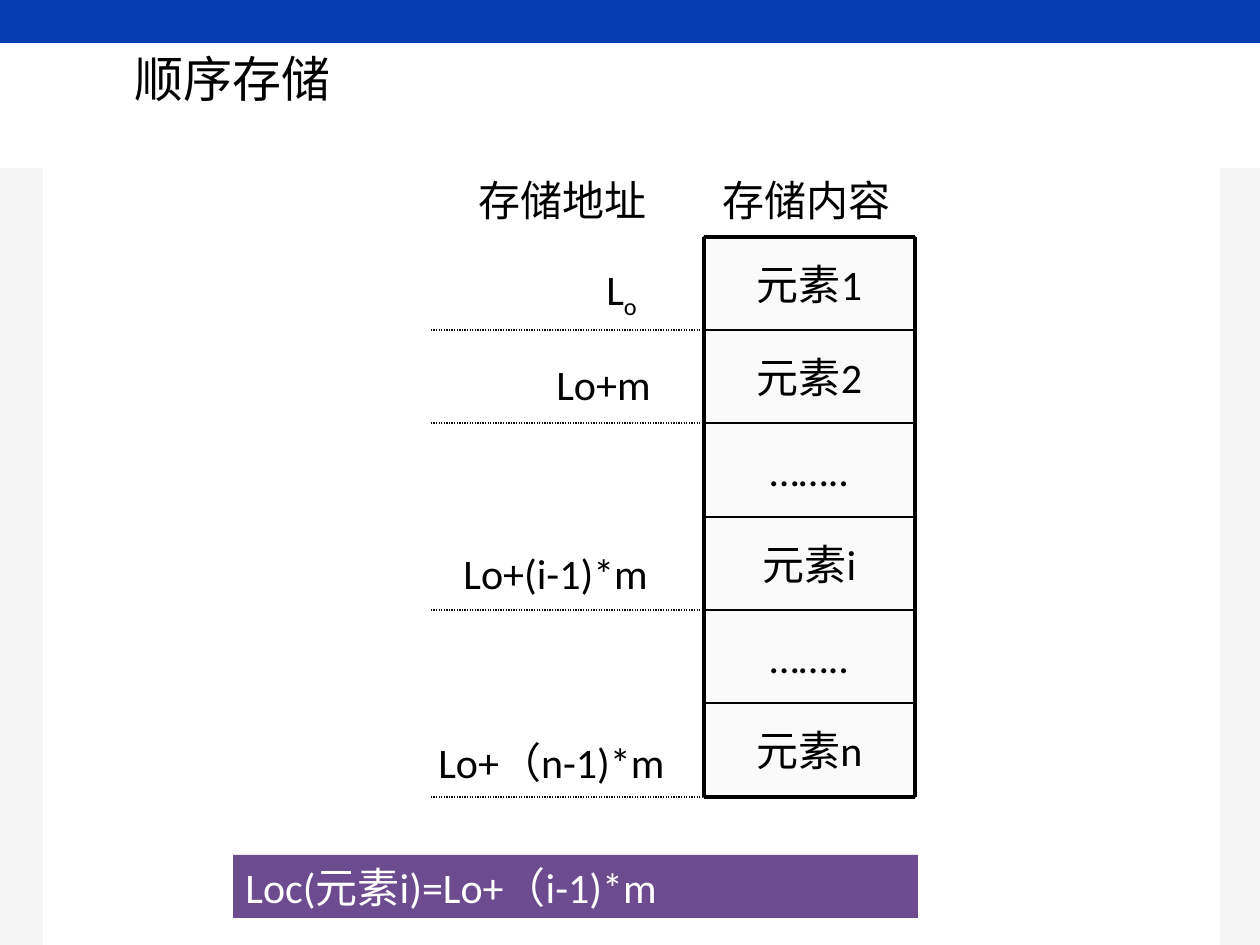
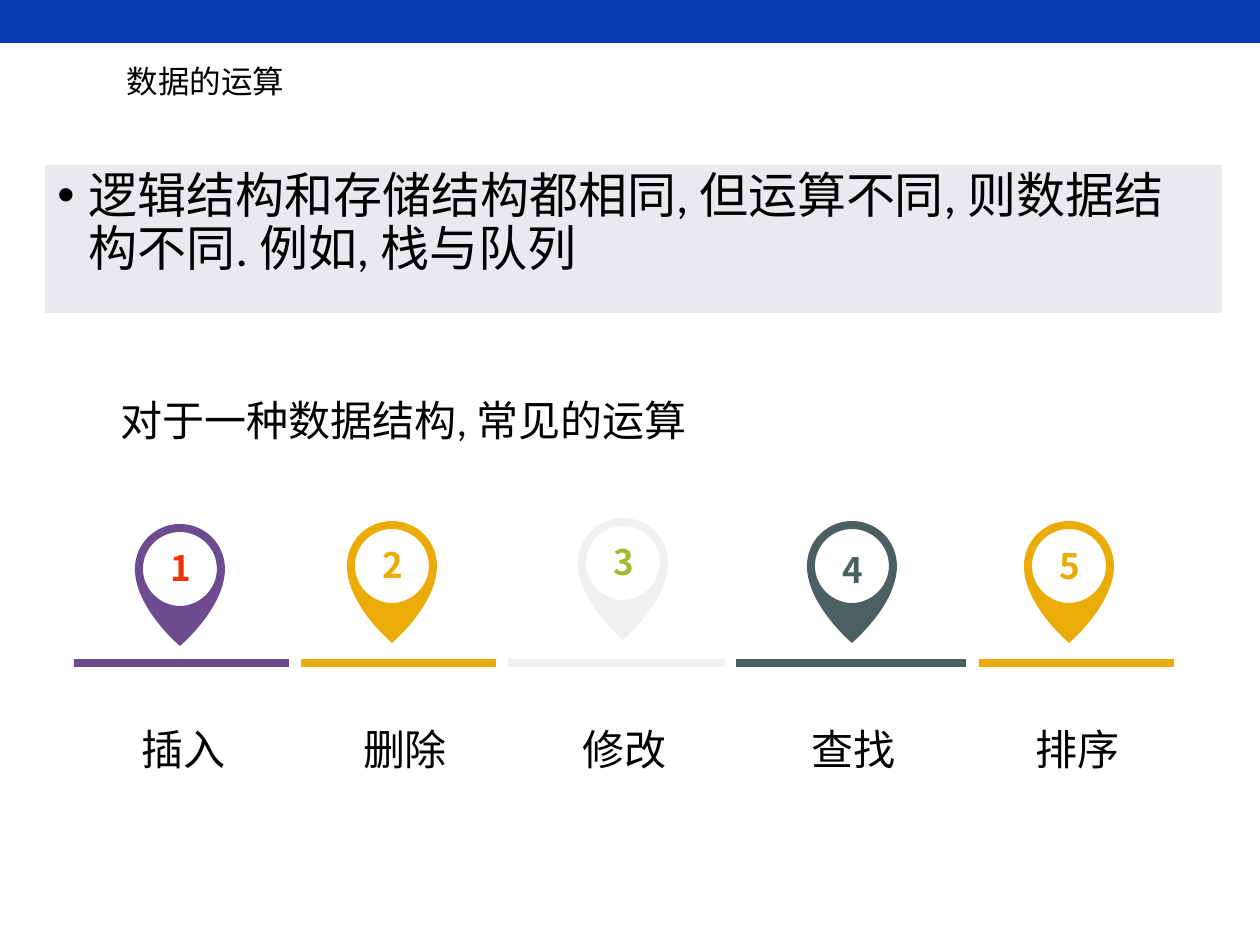
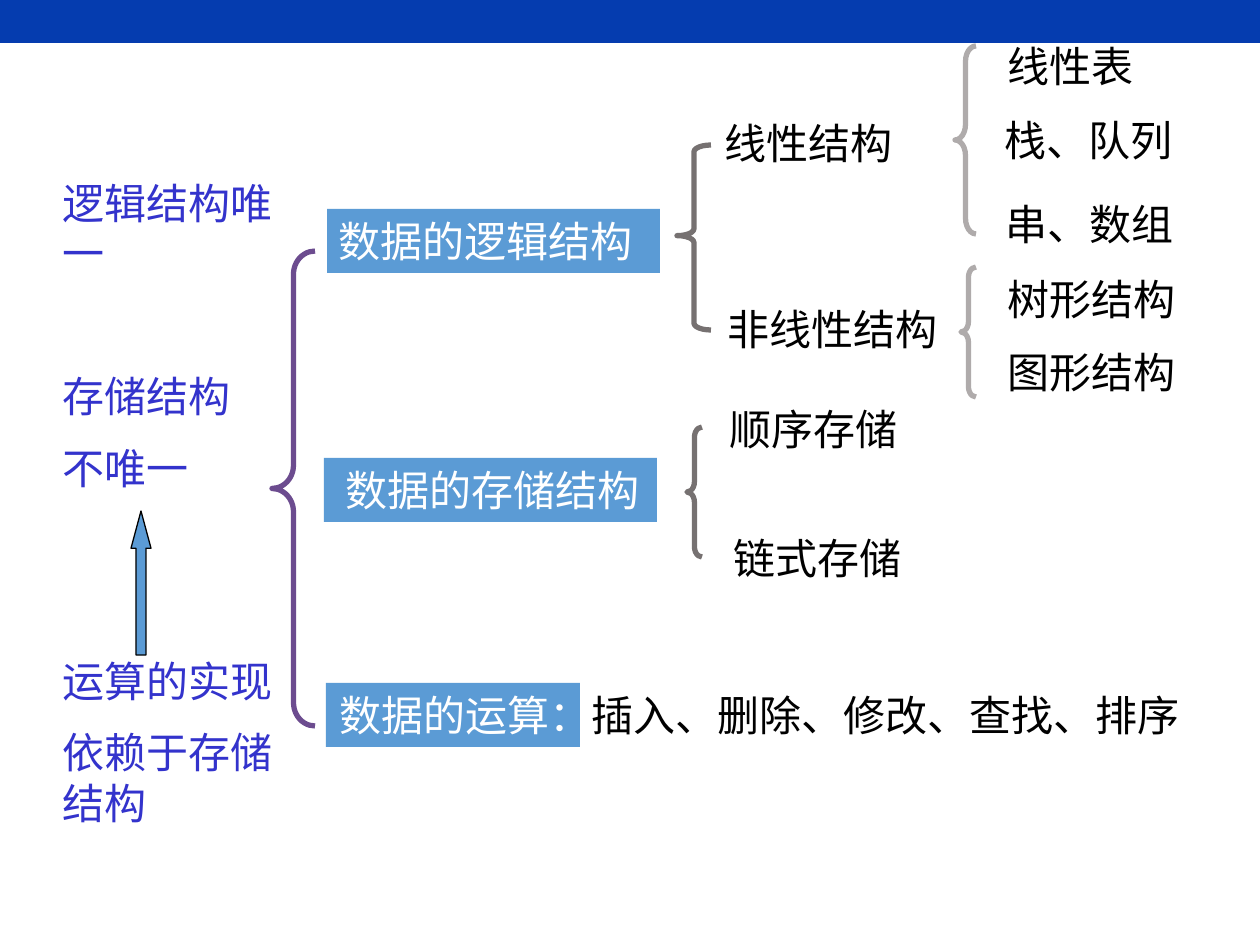
from lxml.etree import Element, SubElement
from pptx import Presentation
from pptx.dml.color import RGBColor
from pptx.enum.dml import MSO_LINE
from pptx.enum.shapes import MSO_CONNECTOR, MSO_SHAPE
from pptx.enum.text import MSO_ANCHOR, MSO_AUTO_SIZE, PP_ALIGN
from pptx.oxml.ns import qn
from pptx.util import Inches, Pt

UNIT = 914400 / 126
FACE = "Calibri"
NOTO = "Noto Sans CJK SC"
BLACK, WHITE = "000000", "FFFFFF"
BLUE, PURPLE, GOLD, SLATE = "5B9BD5", "6C4C8F", "EBAC07", "4C6062"
PALE, GREY, SILVER = "F1F0F0", "767171", "AFABAB"
LEFT, MID = PP_ALIGN.LEFT, PP_ALIGN.CENTER
TOP, HALF = MSO_ANCHOR.TOP, MSO_ANCHOR.MIDDLE
DROP = [[(45, 0)],
        [(20, 0), (0, 20), (0, 45)], [(0, 84), (45, 122), (45, 122)],
        [(45, 122), (90, 84), (90, 45)], [(90, 20), (70, 0), (45, 0)]]
HOLE = [[(45, 82)],
        [(25, 82), (8, 65), (8, 45)], [(8, 24), (25, 8), (45, 8)],
        [(65, 8), (82, 24), (82, 45)], [(82, 65), (65, 82), (45, 82)]]


def px(*nums):
    return [round(num * UNIT) for num in nums]


def tint(code):
    return RGBColor.from_string(code)


def paint(shape, fill, edge=None, weight=1):
    shape.shadow.inherit = False
    if fill:
        shape.fill.solid()
        shape.fill.fore_color.rgb = tint(fill)
    else:
        shape.fill.background()
    if edge:
        shape.line.color.rgb = tint(edge)
        shape.line.width = Pt(weight)
    else:
        shape.line.fill.background()
    return shape


def block(slide, area, fill, edge=None, weight=1, kind=MSO_SHAPE.RECTANGLE):
    return paint(slide.shapes.add_shape(kind, *px(*area)), fill, edge, weight)


def write(shape, words, size=24, color=BLACK, align=LEFT, anchor=TOP,
          face=FACE, bold=False, lead=None):
    frame = shape.text_frame
    frame.word_wrap = True
    frame.auto_size = MSO_AUTO_SIZE.NONE
    frame.vertical_anchor = anchor
    frame.text = words
    for para in frame.paragraphs:
        para.alignment = align
        if lead:
            para.line_spacing = lead
        font = para.font
        font.name, font.size, font.bold = face, Pt(size), bold
        font.color.rgb = tint(color)
    for latin in list(shape.element.iter(qn("a:latin"))):
        latin.addnext(Element(qn("a:ea"), typeface=FACE))
    return shape


def label(slide, area, words, **style):
    return write(slide.shapes.add_textbox(*px(*area)), words, **style)


def indent(shape, margin, first):
    props = next(shape.element.iter(qn("a:pPr")))
    props.set("marL", str(Inches(margin)))
    props.set("indent", str(Inches(first)))
    return props


def rule(slide, ends, weight, color=BLACK, dash=None):
    line = slide.shapes.add_connector(MSO_CONNECTOR.STRAIGHT, *px(*ends))
    line.line.color.rgb = tint(color)
    line.line.width = Pt(weight)
    if dash:
        line.line.dash_style = dash
    SubElement(line.element.spPr, qn("a:effectLst"))


def head(slide, area, words, **style):
    title = slide.shapes.title
    title.left, title.top, title.width, title.height = px(*area)
    write(title, words, anchor=HALF, **style)


def brace(slide, area, curl, color, waist=0.5):
    shape = block(slide, area, None, color, 3, MSO_SHAPE.LEFT_BRACE)
    shape.adjustments[0] = curl
    shape.adjustments[1] = waist


def pin(slide, left, top, fill):
    form = slide.shapes.build_freeform(*px(left, top), scale=1.0)
    form.add_line_segments([px(left + 90, top), px(left + 90, top + 122)])
    shape = paint(form.convert_to_shape(), fill)
    route = next(shape.element.iter(qn("a:path")))
    for step in list(route):
        route.remove(step)
    for ring in (DROP, HOLE):
        for knots in ring:
            step = SubElement(route, qn("a:moveTo" if len(knots) == 1 else "a:cubicBezTo"))
            for knot in knots:
                x, y = px(*knot)
                SubElement(step, qn("a:pt"), x=str(x), y=str(y))
        SubElement(route, qn("a:close"))


def band(deck, slide):
    bar = block(slide, (0, 0, 1260, 43), "053CAF").element
    bar.nvSpPr.cNvPr.set("id", "20")
    deck.slide_master.element.cSld.spTree.insert(2, bar)


def store(slide):
    head(slide, (122, 42, 224, 72), "顺序存储", size=28, face="Times New Roman")
    for left in (-1, 1220):
        block(slide, (left, 168, 44, 777), "F5F5F5")

    west, east = 704, 915
    cells = ["元素1", "元素2", "……..", "元素i", "……..", "元素n"]
    edges = [237 + 560 * k // 6 for k in range(7)]
    for words, top, base in zip(cells, edges, edges[1:]):
        cell = block(slide, (west, top, east - west, base - top), "FAFAFA", BLACK, 0.75)
        write(cell, words, align=MID, anchor=HALF)
    for y in edges:
        rule(slide, (west, y, east, y), 2.25 if y in (edges[0], edges[-1]) else 1)
    for x in (west, east):
        rule(slide, (x, edges[0], x, edges[-1]), 2.25)
    for k in (1, 2, 4, 6):
        rule(slide, (west - 1, edges[k], 430, edges[k]), 0.75, "0D0D0D", MSO_LINE.ROUND_DOT)

    for left, top, wide, words in ((466, 168, 255, "存储地址"), (710, 168, 237, "存储内容"),
                                   (544, 352, 174, "Lo+m"), (451, 541, 268, "Lo+(i-1)*m"),
                                   (426, 730, 292, "Lo+（n-1)*m")):
        label(slide, (left, top, wide, 63), words)
    base = label(slide, (594, 257, 125, 63), "L")
    sub = base.text_frame.paragraphs[0].add_run()
    sub.text = "o"
    sub.font.size = Pt(24)
    list(base.element.iter(qn("a:rPr")))[-1].set("baseline", "-25000")
    write(block(slide, (233, 855, 685, 63), PURPLE), "Loc(元素i)=Lo+（i-1)*m",
          color=WHITE)


def tasks(slide):
    head(slide, (114, 42, 324, 78), "数据的运算", size=18)
    note = write(block(slide, (45, 165, 1177, 148), "EBE9EE"),
                 "逻辑结构和存储结构都相同, 但运算不同, 则数据结构不同. 例如, 栈与队列",
                 size=28, lead=0.9)
    mark = Element(qn("a:buChar"), char="•")
    indent(note, 0.25, -0.25).find(qn("a:defRPr")).addprevious(mark)
    mark.addprevious(Element(qn("a:buFont"), typeface="Arial"))
    lead = label(slide, (34, 373, 1177, 93), "对于一种数据结构, 常见的运算", lead=1.3)
    indent(lead, 0, 0.59)

    items = [("插入", PURPLE, "F83003", 135, 524, 540, 74, 215, 97, 174),
             ("删除", GOLD, GOLD, 347, 521, 537, 301, 195, 319, 172),
             ("修改", PALE, "A2B932", 578, 518, 534, 508, 217, 540, 169),
             ("查找", SLATE, SLATE, 807, 521, 542, 736, 230, 738, 231),
             ("排序", GOLD, GOLD, 1024, 521, 538, 979, 195, 992, 172)]
    for rank, item in enumerate(items, 1):
        words, fill, ink, left, top, digit, start, span, edge, wide = item
        pin(slide, left, top, fill)
        block(slide, (start, 659, span, 8), fill)
        num = label(slide, (left + 22, digit, 48, 55), str(rank), size=20, color=ink,
                    align=MID, anchor=HALF, face=NOTO, bold=True)
        frame = num.text_frame
        frame.margin_left = frame.margin_right = 0
        frame.margin_top = frame.margin_bottom = 0
        label(slide, (edge, 692, wide, 81), words, align=MID, face=NOTO, lead=1.5)


def recap(slide):
    for left, top, wide in ((327, 209, 333), (324, 458, 333), (326, 683, 254)):
        block(slide, (left, top, wide, 64), BLUE)
    label(slide, (326, 209, 334, 64), "数据的逻辑结构", color=WHITE)
    label(slide, (333, 458, 334, 64), "数据的存储结构", color=WHITE)
    work = label(slide, (327, 683, 880, 64), "数据的运算：", color=WHITE)
    more = work.text_frame.paragraphs[0].add_run()
    more.text = "插入、删除、修改、查找、排序"
    more.font.color.rgb = tint(BLACK)

    brace(slide, (272, 251, 43, 475), 0.54, PURPLE)
    brace(slide, (687, 427, 15, 130), 0.69, GREY)
    brace(slide, (677, 145, 34, 185), 0.2, GREY, 0.49)
    brace(slide, (955, 46, 21, 188), 0.74, SILVER)
    brace(slide, (961, 267, 15, 130), 0.69, SILVER)

    for left, top, words in ((712, 111, "线性结构"), (715, 297, "非线性结构"),
                             (717, 397, "顺序存储"), (721, 526, "链式存储"),
                             (995, 34, "线性表"), (992, 108, "栈、队列"),
                             (993, 192, "串、数组"), (995, 267, "树形结构"),
                             (995, 340, "图形结构")):
        label(slide, (left, top, 42 * len(words) + 28, 64), words)

    lines = [("逻辑结构唯一", 0), ("存储结构", 53), ("不唯一", 12),
             ("运算的实现", 93), ("依赖于存储结构", 12)]
    notes = label(slide, (50, 171, 252, 699), "\n".join(words for words, gap in lines),
                  color="3333CC")
    for para, (words, gap) in zip(notes.text_frame.paragraphs, lines):
        para.space_before = Pt(gap)
    arrow = block(slide, (131, 511, 20, 144), BLUE, BLACK, 0.75, MSO_SHAPE.UP_ARROW)
    arrow.adjustments[0] = 0.5
    arrow.adjustments[1] = 1.86


def main():
    deck = Presentation()
    deck.slide_width, deck.slide_height = Inches(10), Inches(7.5)
    title, blank = deck.slide_layouts[5], deck.slide_layouts[6]
    for layout, build in ((title, store), (title, tasks), (blank, recap)):
        build(deck.slides.add_slide(layout))
    band(deck, deck.slides[0])
    deck.save("out.pptx")


if __name__ == "__main__":
    main()
